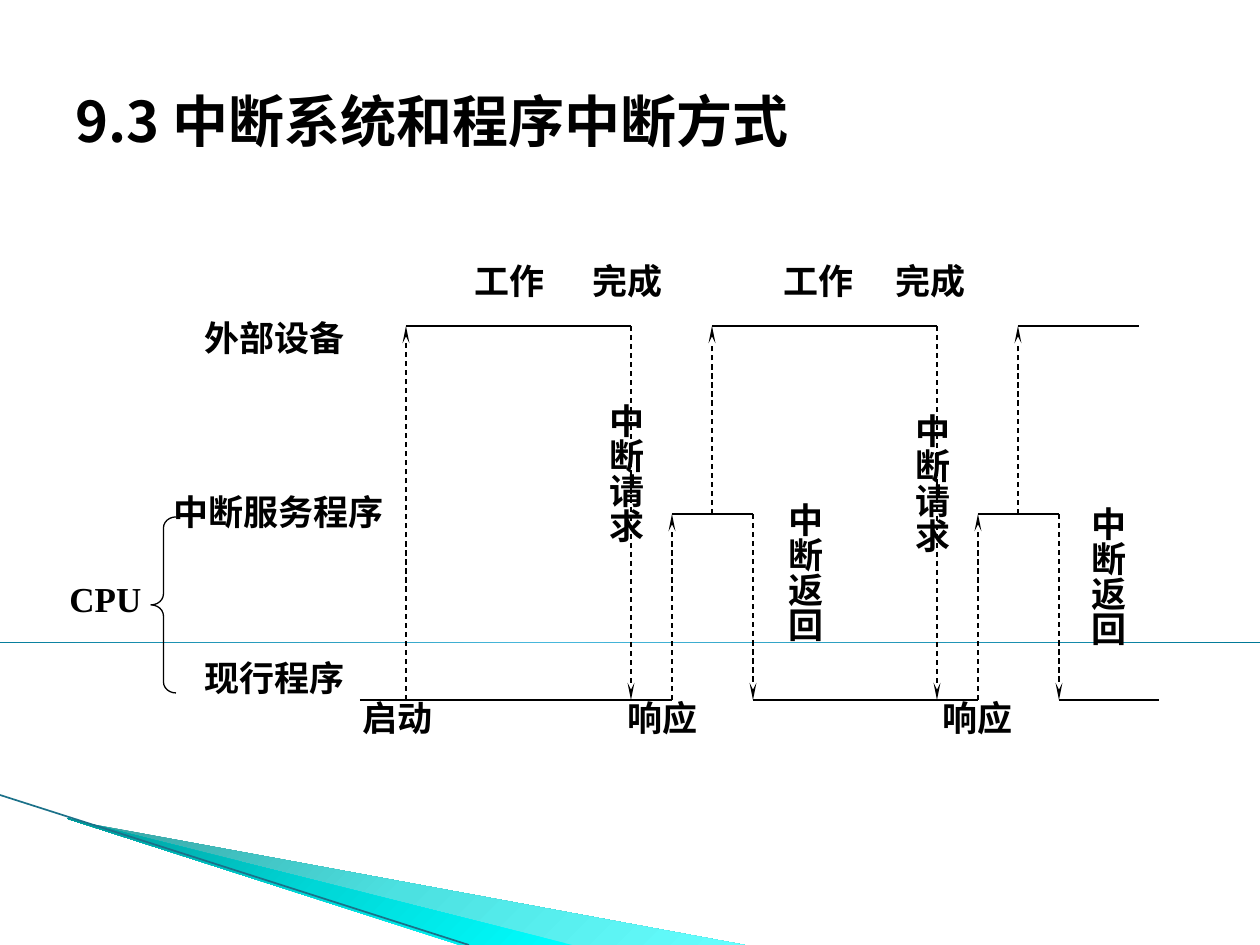
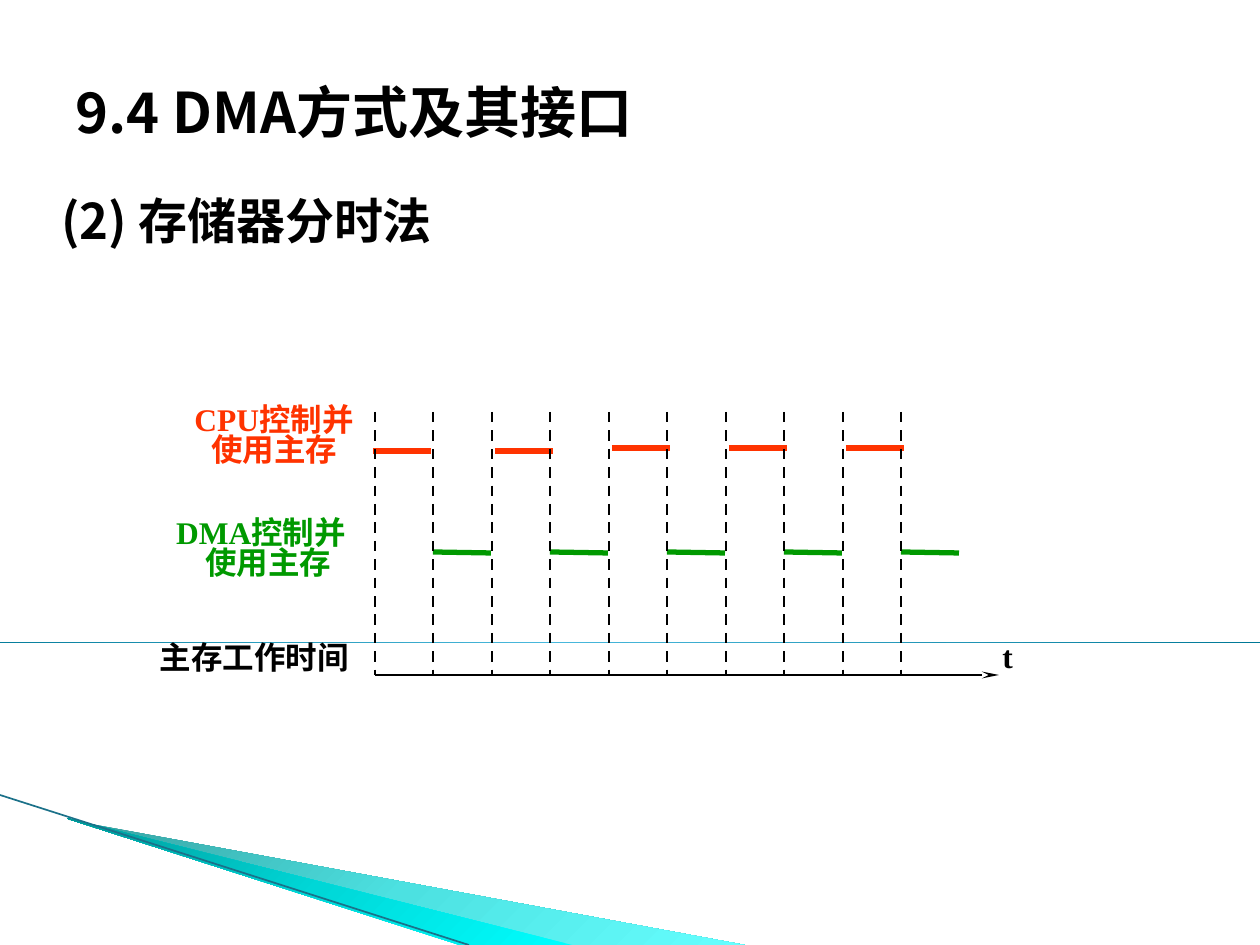
import lxml.etree
import pptx
import pptx.dml.color
import pptx.enum.dml
import pptx.enum.shapes
import pptx.enum.text
import pptx.oxml.ns
import pptx.util

SCALE = 914400 / 126
COLORS = {
    "black": "000000", "cpu": "FF3300", "dma": "009900", "edge": "1B7189",
    "rule": "007896", "rule_mid": "4CBBDF",
    "wing_dark": "369E9E", "wing_mid": "4CE1E1", "wing_light": "66FFFF",
    "fold_dark": "009797", "fold_mid": "00D7D7", "fold_light": "00FFFF",
}
SANS = "Noto Sans CJK SC"
SERIF = "Times New Roman"
SHAPES = pptx.enum.shapes.MSO_SHAPE
ALIGN = pptx.enum.text.PP_ALIGN
qn = pptx.oxml.ns.qn


def px(n):
    return pptx.util.Emu(round(n * SCALE))


def rgb(name):
    return pptx.dml.color.RGBColor.from_string(COLORS[name])


def add_xml(parent, tag, **attributes):
    return lxml.etree.SubElement(parent, qn(tag), **attributes)


class Deck:
    """Slides in one style, drawn in px."""

    def __init__(self):
        self.prs = pptx.Presentation()
        self.prs.slide_width, self.prs.slide_height = px(1260), px(945)

    def new_slide(self, title, top):
        self.s = self.prs.slides.add_slide(self.prs.slide_layouts[6])
        self.background()
        sp = self.text(63, top, 1134, 158, title, 32, font=SANS, spacing=1.1)
        sp.text_frame.vertical_anchor = pptx.enum.text.MSO_ANCHOR.MIDDLE

    def background(self):
        rule = self.s.shapes.add_shape(SHAPES.RIGHT_TRIANGLE, 0, px(642), px(1260), px(1))
        rule.rotation = 180
        self.gradient(rule, [(0, "rule"), (55, "rule_mid"), (100, "rule")], 50)
        wing = self.outline([(69, 820), (750, 946), (575, 946), (69, 819)])
        self.gradient(wing, [(0, "wing_dark"), (50, "wing_mid"), (100, "wing_light")], 45)
        fold = self.outline([(67, 818), (576, 946), (469, 948), (68, 819)])
        self.gradient(fold, [(0, "fold_dark"), (50, "fold_mid"), (100, "fold_light")])
        self.line(0, 795, 469, 945, "edge", 0.95)

    def outline(self, points):
        builder = self.s.shapes.build_freeform(*points[0], scale=SCALE)
        builder.add_line_segments(points[1:])
        return builder.convert_to_shape()

    def gradient(self, sp, stops, angle=None):
        sp.shadow.inherit = False
        sp.line.fill.background()
        sp.fill.gradient()
        fill = sp.element.spPr.find(qn("a:gradFill"))
        fill.clear()
        fill.set("rotWithShape", "1")
        stop_list = add_xml(fill, "a:gsLst")
        for position, color in stops:
            stop = add_xml(stop_list, "a:gs", pos=str(position * 1000))
            add_xml(stop, "a:srgbClr", val=COLORS[color])
        if angle is None:
            circle = add_xml(fill, "a:path", path="circle")
            add_xml(circle, "a:fillToRect", r="100000", b="100000")
        else:
            add_xml(fill, "a:lin", ang=str(angle * 60000), scaled="1")

    def line(self, x1, y1, x2, y2, color="black", width=0.75, dash=False, arrow=False):
        kind = pptx.enum.shapes.MSO_CONNECTOR.STRAIGHT
        sp = self.s.shapes.add_connector(kind, px(x1), px(y1), px(x2), px(y2))
        sp.line.color.rgb = rgb(color)
        sp.line.width = pptx.util.Pt(width)
        if dash:
            sp.line.dash_style = pptx.enum.dml.MSO_LINE.DASH
        props = sp.element.spPr
        if arrow:
            add_xml(props.find(qn("a:ln")), "a:tailEnd", type="stealth", w="sm", len="lg")
        add_xml(props, "a:effectLst")

    def signal(self, x, y1, y2):
        self.line(x, y1, x, y2, dash=True, arrow=True)

    def brace(self, x, y, w, h):
        sp = self.s.shapes.add_shape(SHAPES.LEFT_BRACE, px(x), px(y), px(w), px(h))
        sp.shadow.inherit = False
        sp.adjustments[0] = 0.44
        sp.fill.background()
        sp.line.color.rgb = rgb("black")
        sp.line.width = pptx.util.Pt(0.75)

    def text(self, x, y, w, h, text, size=20, color="black", font=SERIF,
             align=ALIGN.LEFT, spacing=None, vertical=False):
        sp = self.s.shapes.add_textbox(px(x), px(y), px(w), px(h))
        tf = sp.text_frame
        tf.word_wrap = True
        tf.text = text
        if vertical:
            sp.element.txBody.bodyPr.set("vert", "eaVert")
        for p in tf.paragraphs:
            p.alignment = align
            p.line_spacing = spacing
            p.font.size = pptx.util.Pt(size)
            p.font.bold = True
            p.font.name = font
            p.font.color.rgb = rgb(color)
        for props in sp.element.iter(qn("a:defRPr")):
            add_xml(props, "a:ea", typeface=SANS)
        return sp

    def two_lines(self, x, y, w, text, color):
        sp = self.text(x, y, w, 77, text, 18, color, align=ALIGN.CENTER)
        p = sp.text_frame.paragraphs[1]
        p.line_spacing = 0.2
        p.space_before = pptx.util.Pt(10)


def interrupt_slide(deck):
    deck.new_slide("9.3 中断系统和程序中断方式", 38)
    device, service, program = 326, 514, 700
    period = 306
    deck.line(360, program, 672, program)
    deck.signal(406, program, device)
    for x, next_device, next_program in ((406, 937, 978), (406 + period, 1139, 1159)):
        request, respond, restart, back = x + 225, x + 266, x + period, x + 347
        if x == 406:
            deck.line(x, device, request, device)
        deck.signal(request, device, program)
        deck.signal(respond, program, service)
        deck.line(respond, service, back, service)
        deck.signal(restart, service, device)
        deck.signal(back, service, program)
        deck.line(back, program, next_program, program)
        deck.line(restart, device, next_device, device)

    labels = [
        (350, 690, 140, "启动"), (615, 690, 140, "响应"), (930, 690, 140, "响应"),
        (462, 253, 140, "工作"), (771, 253, 140, "工作"),
        (580, 253, 140, "完成"), (883, 253, 140, "完成"),
        (192, 310, 232, "外部设备"), (161, 484, 276, "中断服务程序"),
        (192, 650, 276, "现行程序"), (57, 571, 142, "CPU"),
    ]
    for x, y, w, label in labels:
        deck.text(x, y, w, 54, label)
    for x, y, label in ((586, 391, "中断请求"), (892, 401, "中断请求"),
                        (765, 490, "中断返回"), (1068, 494, "中断返回")):
        deck.text(x, y, 67, 330, label, vertical=True)
    deck.brace(151, 517, 25, 176)


def dma_slide(deck):
    deck.new_slide("9.4 DMA方式及其接口", 29)
    sp = deck.text(34, 155, 1147, 766, "(2) 存储器分时法", 28, font=SANS,
                   align=ALIGN.JUSTIFY, spacing=1.5)
    p = sp.text_frame.paragraphs[0]
    p.space_before = pptx.util.Pt(4)
    for props in sp.element.iter(qn("a:pPr")):
        props.set("marL", str(px(50)))
        props.set("indent", str(px(-35)))

    ticks = [375 + k * 117 // 2 for k in range(10)]
    for k, x in enumerate(ticks[::2]):
        start, y = (x + 3 if k else x - 2), (451 if k < 2 else 448)
        deck.line(start, y, start + 58, y, "cpu", 3)
    for x in ticks[1::2]:
        deck.line(x, 552, x + 58, 553, "dma", 3)
    deck.line(375, 675, 999, 675, width=1.5, arrow=True)
    for x in ticks:
        deck.line(x, 412, x, 675, width=1.5, dash=True)

    deck.two_lines(157, 394, 234, "CPU控制并\n使用主存", "cpu")
    deck.two_lines(94, 507, 334, "DMA控制并\n  使用主存", "dma")
    deck.text(102, 632, 305, 50, "主存工作时间", 18, align=ALIGN.CENTER)
    deck.text(990, 631, 97, 50, "t", 18)


def main():
    deck = Deck()
    interrupt_slide(deck)
    dma_slide(deck)
    deck.prs.save("out.pptx")


if __name__ == "__main__":
    main()
